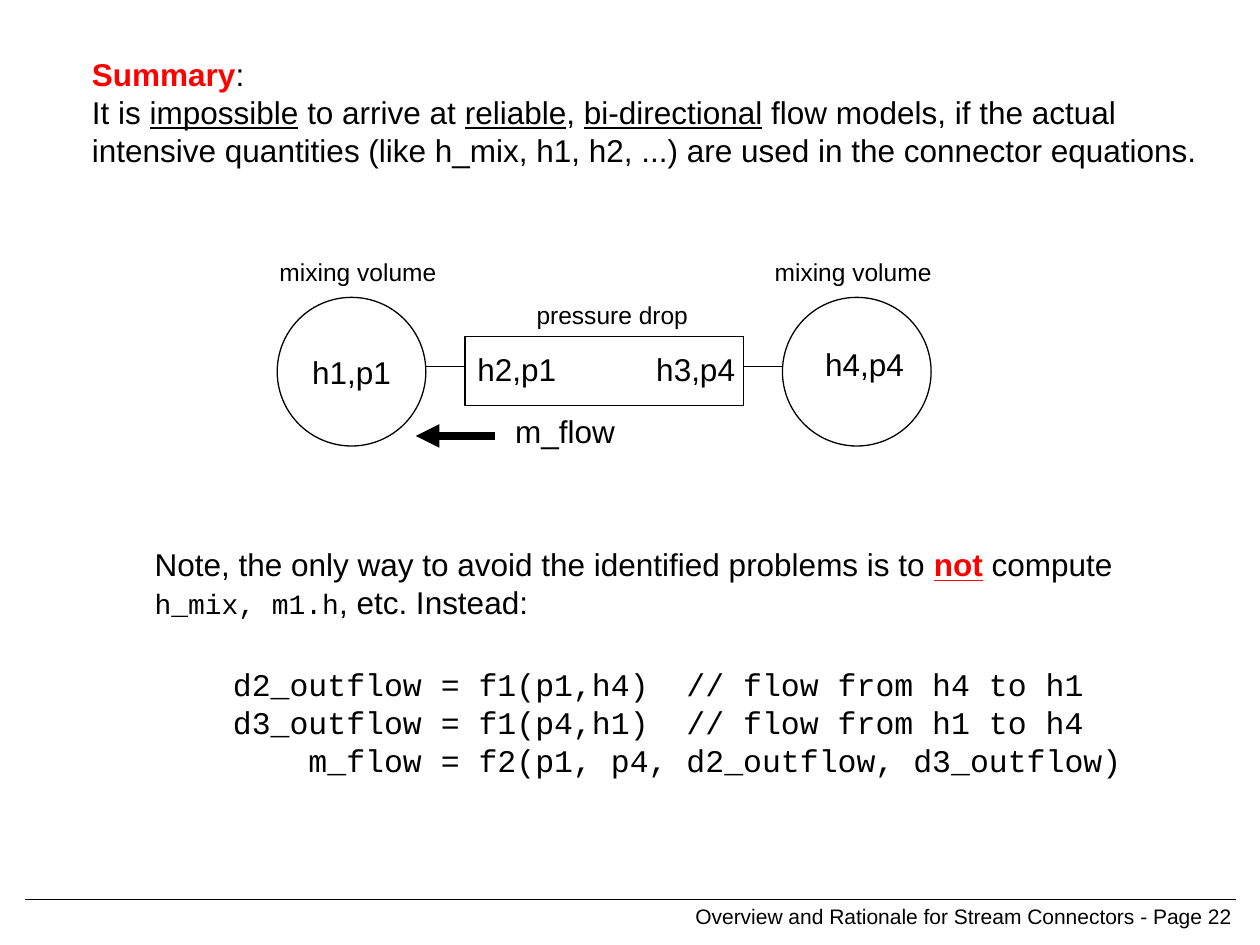
from lxml.etree import SubElement
from pptx import Presentation
from pptx.dml.color import RGBColor
from pptx.enum.shapes import MSO_CONNECTOR, MSO_SHAPE
from pptx.enum.text import MSO_ANCHOR, MSO_AUTO_SIZE, PP_ALIGN
from pptx.oxml.ns import qn
from pptx.util import Inches, Pt

BLACK = RGBColor(0, 0, 0)
RED = RGBColor(255, 0, 0)
SANS, MONO = "Arial", "Courier New"

PLAIN = {}
UNDERLINED = {"underline": True}
SUMMARY = [
    [("Summary", {"bold": True, "color": RED}), (":", PLAIN)],
    [("It is ", PLAIN), ("impossible", UNDERLINED), (" to arrive at ", PLAIN),
     ("reliable", UNDERLINED), (", ", PLAIN), ("bi-directional", UNDERLINED),
     (" flow models, if the actual", PLAIN)],
    [("intensive quantities (like h_mix, h1, h2, ...) are used in the connector equations.", PLAIN)],
]
NOTE = [
    [("Note, the only way to avoid the identified problems is to ", PLAIN),
     ("not", {"bold": True, "underline": True, "color": RED}), (" compute", PLAIN)],
    [("h_mix, m1.h", {"name": MONO, "size": Pt(16)}), (", etc. Instead:", PLAIN)],
]
EQUATIONS = [
    ("d2_outflow = f1(p1,h4)  // flow from h4 to h1", 0.6),
    ("d3_outflow = f1(p4,h1)  // flow from h1 to h4", 0.6),
    ("m_flow = f2(p1, p4, d2_outflow, d3_outflow)", 1.2),
]
FOOTER = "Overview and Rationale for Stream Connectors - Page 22"
LABELS = [
    ("mixing volume", 2.12, 1.99, 1.5, 14),
    ("mixing volume", 6.05, 1.99, 1.5, 14),
    ("pressure drop", 4.16, 2.33, 1.45, 14),
    ("h2,p1", 3.69, 2.73, 0.88, 18),
    ("h3,p4", 5.11, 2.73, 0.88, 18),
    ("h4,p4", 6.45, 2.69, 0.88, 18),
    ("m_flow", 3.99, 3.22, 1.05, 18),
]
DIAMETER, VOLUME_TOP = 1.18, 2.36
LEFT_VOLUME, RIGHT_VOLUME = 2.2, 6.21
DROP_LEFT, DROP_TOP, DROP_WIDTH, DROP_HEIGHT = 3.69, 2.67, 2.21, 0.55
PIPE_Y, FLOW_Y, FOOTER_Y = 2.91, 3.46, 7.14


def set_font(paragraph, size=18, name=SANS):
    font = paragraph.font
    font.name, font.size, font.color.rgb = name, Pt(size), BLACK


def write_rich(frame, lines):
    for index, runs in enumerate(lines):
        paragraph = frame.paragraphs[0] if index == 0 else frame.add_paragraph()
        paragraph.alignment = PP_ALIGN.LEFT
        set_font(paragraph)
        for text, style in runs:
            run = paragraph.add_run()
            run.text = text
            for key, value in style.items():
                if key == "color":
                    run.font.color.rgb = value
                else:
                    setattr(run.font, key, value)


def add_text(slide, left, top, width, height):
    frame = slide.shapes.add_textbox(
        Inches(left), Inches(top), Inches(width), Inches(height)).text_frame
    frame.word_wrap = True
    return frame


def add_outline(slide, kind, left, top, width, height):
    shape = slide.shapes.add_shape(
        kind, Inches(left), Inches(top), Inches(width), Inches(height))
    shape.shadow.inherit = False
    shape.fill.background()
    shape.line.color.rgb = BLACK
    shape.line.width = Pt(0.75)
    return shape


def add_line(slide, start, end, y, width=0.75, arrow=False):
    line = slide.shapes.add_connector(
        MSO_CONNECTOR.STRAIGHT, Inches(start), Inches(y), Inches(end), Inches(y))
    line.line.color.rgb = BLACK
    line.line.width = Pt(width)
    properties = line._element.spPr
    if arrow:
        SubElement(properties.find(qn("a:ln")), qn("a:tailEnd"), type="triangle")
    SubElement(properties, qn("a:effectLst"))


def add_texts(slide):
    title = slide.shapes.title
    title.left, title.top, title.width, title.height = map(Inches, (0.63, 0.39, 9.1, 1))
    title.text_frame.auto_size = MSO_AUTO_SIZE.NONE
    title.text_frame.vertical_anchor = MSO_ANCHOR.TOP
    write_rich(title.text_frame, SUMMARY)

    write_rich(add_text(slide, 1.13, 4.28, 7.9, 0.7), NOTE)

    frame = add_text(slide, 1.15, 5.23, 8, 1)
    frame.text = "\n".join(text for text, indent in EQUATIONS)
    for paragraph, (text, indent) in zip(frame.paragraphs, EQUATIONS):
        set_font(paragraph, name=MONO)
        paragraph._p.get_or_add_pPr().set("marL", str(Inches(indent)))

    frame = add_text(slide, 3.98, FOOTER_Y, 5.8, 0.32)
    frame.margin_left = frame.margin_right = frame.margin_top = frame.margin_bottom = 0
    frame.vertical_anchor = MSO_ANCHOR.MIDDLE
    frame.text = FOOTER
    frame.paragraphs[0].alignment = PP_ALIGN.RIGHT
    frame.paragraphs[0].line_spacing = Pt(10)
    set_font(frame.paragraphs[0], 12)


def add_diagram(slide):
    volumes = [add_outline(slide, MSO_SHAPE.OVAL, left, VOLUME_TOP, DIAMETER, DIAMETER)
               for left in (LEFT_VOLUME, RIGHT_VOLUME)]
    frame = volumes[0].text_frame
    frame.word_wrap = False
    frame.text = "h1,p1"
    frame.paragraphs[0].alignment = PP_ALIGN.CENTER
    set_font(frame.paragraphs[0])

    add_outline(slide, MSO_SHAPE.RECTANGLE, DROP_LEFT, DROP_TOP, DROP_WIDTH, DROP_HEIGHT)
    add_line(slide, DROP_LEFT, LEFT_VOLUME + DIAMETER, PIPE_Y)
    add_line(slide, RIGHT_VOLUME, DROP_LEFT + DROP_WIDTH, PIPE_Y)
    add_line(slide, 3.93, 3.3, FLOW_Y, 4.5, arrow=True)

    for text, left, top, width, size in LABELS:
        frame = add_text(slide, left, top, width, 0.4 if size == 18 else 0.34)
        frame.text = text
        set_font(frame.paragraphs[0], size)


def main():
    presentation = Presentation()
    presentation.slide_width, presentation.slide_height = Inches(10), Inches(7.5)
    slide = presentation.slides.add_slide(presentation.slide_layouts[5])
    add_line(slide, 0.2, 9.81, FOOTER_Y)
    add_texts(slide)
    add_diagram(slide)
    presentation.save("out.pptx")


if __name__ == "__main__":
    main()
